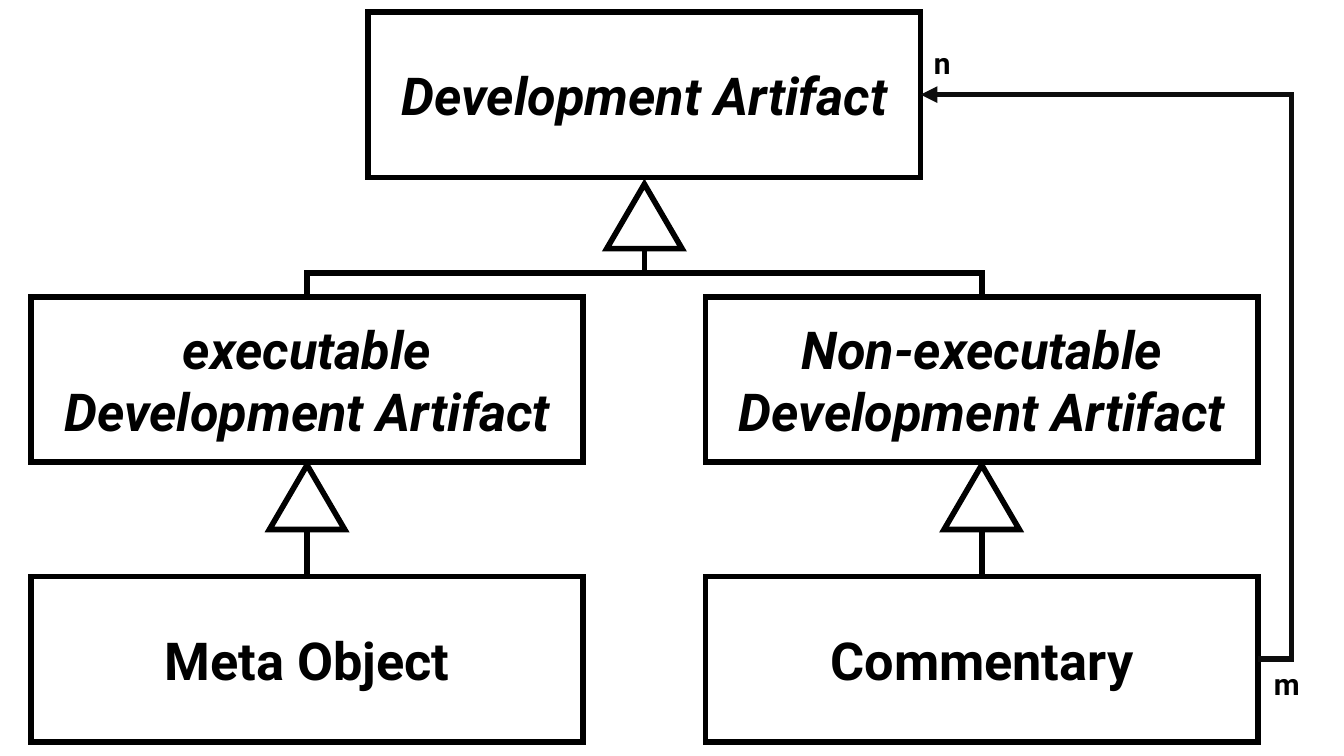
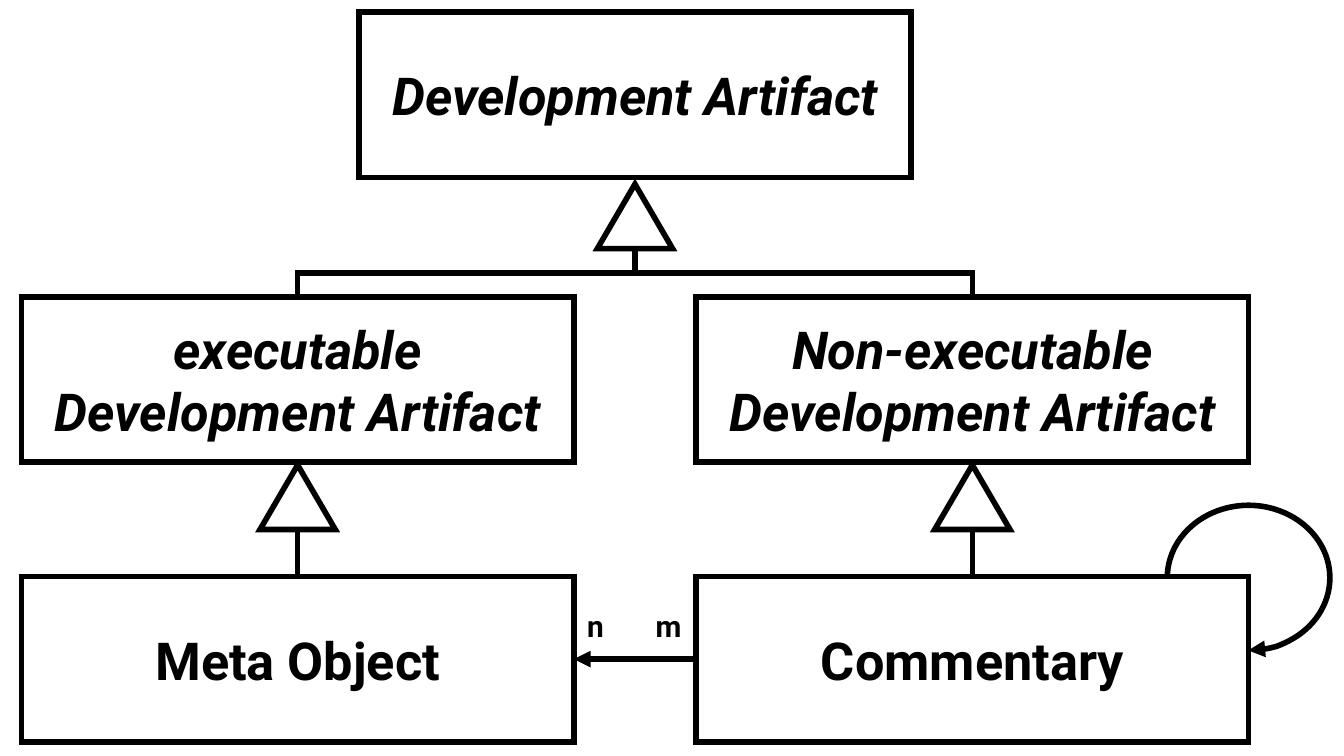
from dataclasses import dataclass

from lxml import etree
from pptx import Presentation
from pptx import util as u
from pptx.dml.color import RGBColor
from pptx.enum import shapes, text
from pptx.oxml import ns


@dataclass(frozen=True)
class Theme:
    font: str = "Roboto"
    box_size: int = 28
    label_size: int = 16
    line_width: int = 3
    ink: str = "000000"
    arrow_ink: str = "0D0D0D"
    paper: str = "FFFFFF"


THEME = Theme()
SLIDE_WIDTH, SLIDE_HEIGHT = 10, 5.625

# name: (lines, column, row, abstract class)
CLASSES = {
    "artifact": (["Development Artifact"], 1, 0, True),
    "executable": (["executable", "Development Artifact"], 0, 1, True),
    "non_executable": (["Non-executable", "Development Artifact"], 2, 1, True),
    "meta": (["Meta Object"], 0, 2, False),
    "commentary": (["Commentary"], 2, 2, False),
}
INHERITANCE = [("meta", "executable"), ("commentary", "non_executable")]

COLUMN_STEP = 2.51
ROW_TOPS = (0.09, 2.21, 4.29)
BOX_WIDTH, BOX_HEIGHT = 4.11, 1.23
TRIANGLE_WIDTH, TRIANGLE_HEIGHT = 0.56, 0.48
ROOT_GAP, CHILD_GAP = 0.05, 0.02
LABEL_WIDTHS = {"m": 0.41, "n": 0.34}
LABEL_HEIGHT = 0.37
LOOP_WIDTH, LOOP_HEIGHT = 1.21, 1.08
LOOP_ANGLES = (91.66, 54.1)


def inches(*values):
    return [u.Inches(value) for value in values]


def add_xml(parent, tag, **attributes):
    return etree.SubElement(parent, ns.qn(tag), **attributes)


def style_line(shape, color=THEME.ink, head=False, tail=False):
    shape.line.color.rgb = RGBColor.from_string(color)
    shape.line.width = u.Pt(THEME.line_width)
    line = shape.line._get_or_add_ln()
    add_xml(line, "a:miter", lim="800000")
    for tag, wanted in (("a:headEnd", head), ("a:tailEnd", tail)):
        if wanted:
            add_xml(line, tag, type="triangle", w="med", len="med")


def write(shape, lines, size, italic=False, align=None):
    frame = shape.text_frame
    for index, line in enumerate(lines):
        paragraph = frame.add_paragraph() if index else frame.paragraphs[0]
        paragraph.alignment = align
        run = paragraph.add_run()
        run.text = line
        run.font.name = THEME.font
        run.font.size = u.Pt(size)
        run.font.bold = True
        run.font.italic = italic
        run.font.color.rgb = RGBColor.from_string(THEME.ink)


def add_outline(slide, kind, left, top, width, height, fill=None, tail=False):
    shape = slide.shapes.add_shape(kind, *inches(left, top, width, height))
    shape.shadow.inherit = False
    if fill:
        shape.fill.solid()
        shape.fill.fore_color.rgb = RGBColor.from_string(fill)
    else:
        shape.fill.background()
    style_line(shape, tail=tail)
    return shape


def add_line(slide, start, end, kind=shapes.MSO_CONNECTOR.STRAIGHT, **line_format):
    connector = slide.shapes.add_connector(kind, *inches(*start, *end))
    style_line(connector, **line_format)
    add_xml(connector._element.spPr, "a:effectLst")
    return connector


def add_branch(slide, start, end):
    """Elbow that leaves downward: a sideways elbow turned by a quarter."""
    (x1, y1), (x2, y2) = start, end
    middle_x, middle_y = (x1 + x2) / 2, (y1 + y2) / 2
    half_drop, half_span = (y2 - y1) / 2, abs(x2 - x1) / 2
    side = 1 if x2 > x1 else -1
    connector = add_line(
        slide,
        (middle_x + side * half_drop, middle_y - half_span),
        (middle_x - side * half_drop, middle_y + half_span),
        kind=shapes.MSO_CONNECTOR.ELBOW)
    quarter_turns = 3 if side > 0 else 1
    connector._element.spPr.find(ns.qn("a:xfrm")).set("rot", str(quarter_turns * 90 * 60000))


def add_label(slide, label, left, top):
    box = slide.shapes.add_textbox(*inches(left, top, LABEL_WIDTHS[label], LABEL_HEIGHT))
    box.text_frame.word_wrap = False
    box.text_frame.auto_size = text.MSO_AUTO_SIZE.SHAPE_TO_FIT_TEXT
    write(box, [label], THEME.label_size)


def side_point(name, margin, side):
    """Middle of a class box's side: 0 top, 1 left, 2 bottom, 3 right."""
    _, column, row, _ = CLASSES[name]
    share_x, share_y = ((0.5, 0), (0, 0.5), (0.5, 1), (1, 0.5))[side]
    return (margin + column * COLUMN_STEP + share_x * BOX_WIDTH,
            ROW_TOPS[row] + share_y * BOX_HEIGHT)


def add_class(slide, name, margin):
    lines, _, _, abstract = CLASSES[name]
    left, top = side_point(name, margin, 1)[0], side_point(name, margin, 0)[1]
    box = add_outline(slide, shapes.MSO_SHAPE.RECTANGLE, left, top,
                      BOX_WIDTH, BOX_HEIGHT, fill=THEME.paper)
    box.text_frame.word_wrap = True
    box.text_frame.vertical_anchor = text.MSO_ANCHOR.MIDDLE
    write(box, lines, THEME.box_size, italic=abstract, align=text.PP_ALIGN.CENTER)
    return box


def add_triangle(slide, parent, margin, gap):
    """Draws the inheritance sign and returns the middle of its base."""
    x, y = side_point(parent, margin, 2)
    add_outline(slide, shapes.MSO_SHAPE.ISOSCELES_TRIANGLE, x - TRIANGLE_WIDTH / 2,
                y + gap, TRIANGLE_WIDTH, TRIANGLE_HEIGHT)
    return x, y + gap + TRIANGLE_HEIGHT


def add_hierarchy(slide, margin):
    boxes = {name: add_class(slide, name, margin) for name in CLASSES}
    root = add_triangle(slide, "artifact", margin, ROOT_GAP)
    for child, parent in INHERITANCE:
        add_branch(slide, root, side_point(parent, margin, 0))
        base = add_triangle(slide, parent, margin, CHILD_GAP)
        stem = add_line(slide, base, side_point(child, margin, 0))
        stem.end_connect(boxes[child], 0)
    return boxes


def build_artifact_reference(slide, margin=0.23):
    """Commentary refers to any development artifact."""
    add_hierarchy(slide, margin)
    start = side_point("commentary", margin, 3)
    end_x, end_y = side_point("artifact", margin, 3)
    arrow = add_line(slide, start, (end_x, end_y), kind=shapes.MSO_CONNECTOR.ELBOW,
                     color=THEME.arrow_ink, tail=True)
    guides = arrow._element.spPr.find(ns.qn("a:prstGeom")).find(ns.qn("a:avLst"))
    add_xml(guides, "a:gd", name="adj1", fmla="val -10000")
    add_label(slide, "m", start[0] + 0.02, start[1])
    add_label(slide, "n", end_x, end_y - 0.42)


def build_meta_reference(slide, margin=0.16):
    """Commentary refers to meta objects and to itself."""
    corner = side_point("commentary", margin, 3)[0]
    loop = add_outline(slide, shapes.MSO_SHAPE.ARC, corner - LOOP_WIDTH / 2,
                       ROW_TOPS[2] + 0.01 - LOOP_HEIGHT / 2, LOOP_WIDTH, LOOP_HEIGHT, tail=True)
    for index, angle in enumerate(LOOP_ANGLES):
        loop.adjustments[index] = angle
    boxes = add_hierarchy(slide, margin)
    start = side_point("meta", margin, 3)
    arrow = add_line(slide, start, side_point("commentary", margin, 1), head=True)
    arrow.begin_connect(boxes["meta"], 3)
    arrow.end_connect(boxes["commentary"], 1)
    for label, offset in (("m", 0.51), ("n", 0)):
        add_label(slide, label, start[0] + offset, start[1] - 0.43)


def main():
    presentation = Presentation()
    presentation.slide_width, presentation.slide_height = inches(SLIDE_WIDTH, SLIDE_HEIGHT)
    for build in (build_artifact_reference, build_meta_reference):
        build(presentation.slides.add_slide(presentation.slide_layouts[6]))
    presentation.save("out.pptx")


if __name__ == "__main__":
    main()
